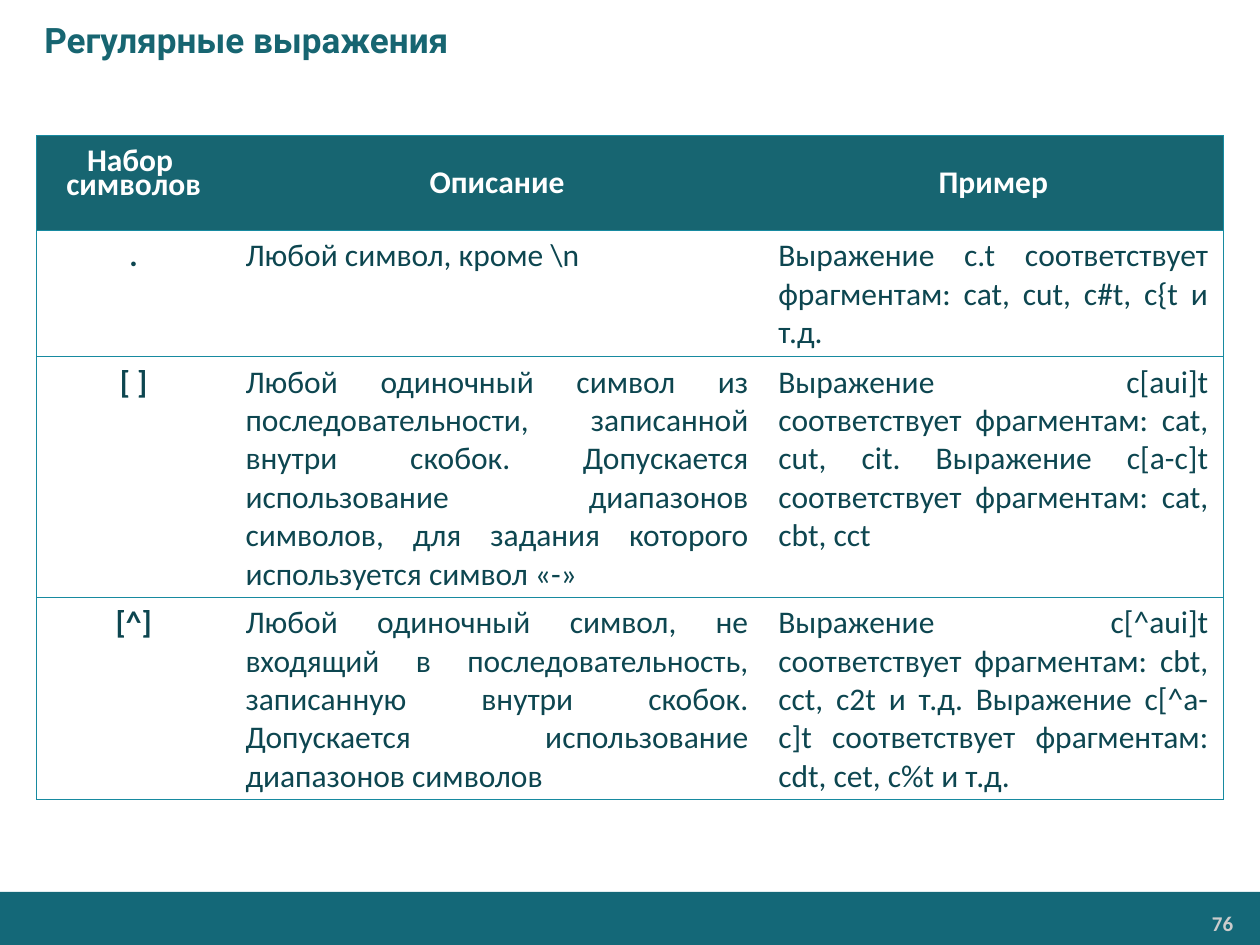
import pptx
import pptx.util
import pptx.dml.color
import pptx.enum.shapes
import pptx.enum.text
import pptx.oxml.ns
from dataclasses import dataclass
from lxml import etree
from pptx.util import Cm, Pt


@dataclass(frozen=True)
class Theme:
    bar: str = "146878"
    header: str = "176571"
    border: str = "178AA0"
    text: str = "0D4650"
    light: str = "FFFFFF"
    number: str = "CCCCCC"
    title_size: int = 20
    table_size: int = 18
    number_size: int = 12
    title_font: str = "Roboto"
    text_font: str = "Calibri"


theme = Theme()
rgb = pptx.dml.color.RGBColor.from_string
PP_ALIGN = pptx.enum.text.PP_ALIGN
MSO_ANCHOR = pptx.enum.text.MSO_ANCHOR


def write(p, text, color, size, name=theme.text_font, bold=True, **formats):
    for key, value in formats.items():
        setattr(p, key, value)
    r = p.add_run()
    r.text = text
    for key, value in {"size": Pt(size), "name": name, "bold": bold}.items():
        setattr(r.font, key, value)
    r.font.color.rgb = rgb(color)


def add_border(cell, side, visible):
    tcPr = cell._tc.get_or_add_tcPr()
    ln = etree.SubElement(tcPr, pptx.oxml.ns.qn(f"a:ln{side}"), w=str(Pt(0.75)))
    if visible:
        fill = etree.SubElement(ln, pptx.oxml.ns.qn("a:solidFill"))
        etree.SubElement(fill, pptx.oxml.ns.qn("a:srgbClr"), val=theme.border)
    else:
        etree.SubElement(ln, pptx.oxml.ns.qn("a:noFill"))


prs = pptx.Presentation()
prs.slide_width, prs.slide_height = Cm(25.4), Cm(19.05)
s = prs.slides.add_slide(prs.slide_layouts[5])

bar = s.shapes.add_shape(
    pptx.enum.shapes.MSO_SHAPE.RECTANGLE, Cm(0), Cm(17.98), Cm(25.4), Cm(1.07)
)
bar.shadow.inherit = False
bar.fill.solid()
bar.fill.fore_color.rgb = rgb(theme.bar)
bar.line.fill.background()

number = s.shapes.add_textbox(Cm(20.9), Cm(18.26), Cm(4.14), Cm(0.71))
tf = number.text_frame
for key, value in {
    "word_wrap": True,
    "margin_left": Cm(0.18),
    "margin_right": Cm(0.18),
    "margin_top": Cm(0.1),
    "margin_bottom": Cm(0.1),
}.items():
    setattr(tf, key, value)
write(tf.paragraphs[0], "76", theme.number, theme.number_size, alignment=PP_ALIGN.RIGHT)

title = s.shapes.title
for key, value in {"left": 0, "top": 0, "width": Cm(25.4), "height": Cm(1.6)}.items():
    setattr(title, key, value)
tf = title.text_frame
tf.vertical_anchor = MSO_ANCHOR.MIDDLE
tf.auto_size = pptx.enum.text.MSO_AUTO_SIZE.NONE
p = tf.paragraphs[0]
p._p.get_or_add_pPr().set("marL", str(Cm(0.64)))
write(p, "Регулярные выражения", theme.header, theme.title_size, theme.title_font,
      alignment=PP_ALIGN.LEFT)

rows = [
    ["Набор \nсимволов", "Описание", "Пример"],
    [
        ".",
        "Любой символ, кроме \\n",
        "Выражение c.t соответствует фрагментам: cat, cut, c#t, c{t и т.д.",
    ],
    [
        "[ ]",
        "Любой одиночный символ из последовательности, записанной внутри скобок. "
        "Допускается использование диапазонов символов, для задания которого "
        "используется символ «-»",
        "Выражение c[aui]t соответствует фрагментам: cat, cut, cit. "
        "Выражение c[a-c]t соответствует фрагментам: cat, cbt, cct",
    ],
    [
        "[^]",
        "Любой одиночный символ, не входящий в последовательность, записанную "
        "внутри скобок. Допускается использование диапазонов символов",
        "Выражение c[^aui]t соответствует фрагментам: cbt, cct, c2t и т.д. "
        "Выражение c[^a-c]t соответствует фрагментам: cdt, cet, c%t и т.д.",
    ],
]
widths = [3.91, 10.74, 9.27]
heights = [1.9, 2.55, 4.85, 4.05]

table = s.shapes.add_table(
    len(rows), len(widths), Cm(0.74), Cm(2.74), Cm(sum(widths)), Cm(sum(heights))
).table
table.first_row = table.horz_banding = False
for column, width in zip(table.columns, widths):
    column.width = Cm(width)
for row, height in zip(table.rows, heights):
    row.height = Cm(height)

for i, row in enumerate(rows):
    for j, text in enumerate(row):
        cell = table.cell(i, j)
        header = i == 0
        stacked = "\n" in text
        side, edge = (Cm(0.23), 0) if stacked else (Cm(0.3), Cm(0.13))
        for key, value in {
            "margin_left": side,
            "margin_right": side,
            "margin_top": edge,
            "margin_bottom": edge,
            "vertical_anchor": MSO_ANCHOR.MIDDLE if header else MSO_ANCHOR.TOP,
        }.items():
            setattr(cell, key, value)

        add_border(cell, "L", j == 0)
        add_border(cell, "R", j == len(widths) - 1)
        add_border(cell, "T", True)
        add_border(cell, "B", True)
        if header:
            cell.fill.solid()
            cell.fill.fore_color.rgb = rgb(theme.header)
        else:
            cell.fill.background()

        label = header or j == 0
        formats = {"alignment": PP_ALIGN.CENTER if label else PP_ALIGN.JUSTIFY}
        if stacked:
            formats.update(line_spacing=Pt(10), space_after=Pt(2))
        tf = cell.text_frame
        for n, line in enumerate(text.split("\n")):
            p = tf.add_paragraph() if n else tf.paragraphs[0]
            if n:
                formats["space_before"] = Pt(2)
            write(p, line, theme.light if header else theme.text, theme.table_size,
                  bold=label, **formats)

prs.save("out.pptx")
